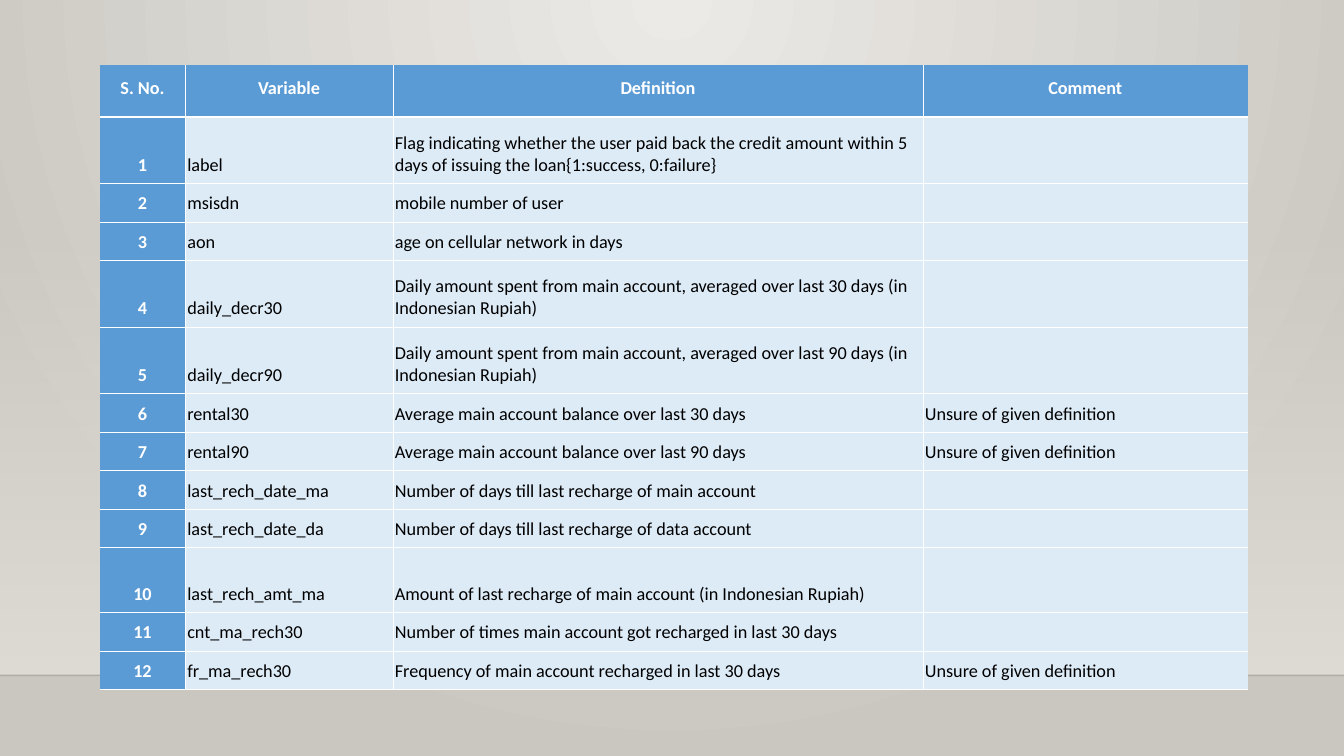
from lxml.etree import SubElement
from pptx import Presentation
from pptx.dml.color import RGBColor
from pptx.enum.shapes import MSO_CONNECTOR, MSO_SHAPE
from pptx.enum.text import MSO_ANCHOR, PP_ALIGN
from pptx.oxml.ns import qn
from pptx.util import Cm, Pt

WIDTH, HEIGHT = 33.87, 19.05
HORIZON = 17.02
NO_TABLE_STYLE = "{2D5ABB26-0587-4C30-8999-92F81FD0307C}"
COLORS = {
    "glow": "ECEAE7", "edge": "CAC7C1", "wall": "DFDBD5", "horizon": "000001",
    "head": "5B9BD5", "body": "DDEBF7", "white": "FFFFFF", "black": "000000",
}
COLUMNS = [2.16, 5.23, 13.36, 8.18]
HEADER_HEIGHT, SHORT, TALL = 1.29, 0.97, 1.68
HEADERS = ["S. No.", "Variable", "Definition", "Comment"]
UNSURE = "Unsure of given definition"
VARIABLES = [
    (TALL, "label", "Flag indicating whether the user paid back the credit amount "
     "within 5 days of issuing the loan{1:success, 0:failure}", ""),
    (SHORT, "msisdn", "mobile number of user", ""),
    (SHORT, "aon", "age on cellular network in days", ""),
    (TALL, "daily_decr30", "Daily amount spent from main account, averaged over "
     "last 30 days (in Indonesian Rupiah)", ""),
    (TALL, "daily_decr90", "Daily amount spent from main account, averaged over "
     "last 90 days (in Indonesian Rupiah)", ""),
    (SHORT, "rental30", "Average main account balance over last 30 days", UNSURE),
    (SHORT, "rental90", "Average main account balance over last 90 days", UNSURE),
    (SHORT, "last_rech_date_ma", "Number of days till last recharge of main account", ""),
    (SHORT, "last_rech_date_da", "Number of days till last recharge of data account", ""),
    (1.63, "last_rech_amt_ma",
     "Amount of last recharge of main account (in Indonesian Rupiah)", ""),
    (SHORT, "cnt_ma_rech30", "Number of times main account got recharged in last 30 days", ""),
    (SHORT, "fr_ma_rech30", "Frequency of main account recharged in last 30 days", UNSURE),
]


def rgb(name):
    return RGBColor.from_string(COLORS[name])


def set_alpha(element, percent):
    """Make the first colour inside element partly transparent."""
    color = next(element.iter(qn("a:srgbClr")))
    SubElement(color, qn("a:alpha"), val=str(percent * 1000))


class SlideBuilder:
    """Holds the text style and the current slide."""

    font, size = "Calibri", Pt(13)

    def __init__(self, prs):
        self.s = prs.slides.add_slide(prs.slide_layouts[6])

    def gradient(self, fill, first, last):
        fill.gradient()
        for stop, name in zip(fill.gradient_stops, (first, last)):
            stop.color.rgb = rgb(name)

    def background(self, center, edge):
        """Radial gradient that spreads from the top centre."""
        self.gradient(self.s.background.fill, center, edge)
        grad = next(self.s.element.iter(qn("a:gradFill")))
        grad.remove(grad.find(qn("a:lin")))
        circle = SubElement(grad, qn("a:path"), path="circle")
        SubElement(circle, qn("a:fillToRect"), l="43000", t="0", r="43000", b="100000")

    def fading_band(self, top, bottom, color):
        """Full-width band, clear at the top and solid at the bottom."""
        sp = self.s.shapes.add_shape(
            MSO_SHAPE.RECTANGLE, 0, Cm(top), Cm(WIDTH), Cm(bottom - top))
        sp.shadow.inherit = False
        sp.line.fill.background()
        self.gradient(sp.fill, color, color)
        sp.fill.gradient_angle = 270
        set_alpha(sp.element, 0)

    def horizontal_line(self, y, color, opacity):
        line = self.s.shapes.add_connector(
            MSO_CONNECTOR.STRAIGHT, 0, Cm(y), Cm(WIDTH), Cm(y))
        line.line.color.rgb = rgb(color)
        line.line.width = Pt(1)
        props = line.element.spPr
        set_alpha(props, opacity)
        SubElement(props, qn("a:effectLst"))

    def borders(self, cell, widths):
        """Draw white borders; widths maps L, R, T, B to points."""
        props = cell._tc.get_or_add_tcPr()
        for side in "LRTB":
            if side in widths:
                ln = SubElement(props, qn(f"a:ln{side}"), w=str(Pt(widths[side])))
                fill = SubElement(ln, qn("a:solidFill"))
                SubElement(fill, qn("a:srgbClr"), val=COLORS["white"])

    def cell(self, cell, text, is_head, anchor):
        cell.fill.solid()
        cell.fill.fore_color.rgb = rgb("head" if is_head else "body")
        cell.vertical_anchor = anchor
        cell.margin_left = cell.margin_right = Cm(0.05)
        cell.margin_top = Cm(0.05 if text else 0)
        cell.margin_bottom = Cm(0.18 if text else 0)
        if not text:
            return
        p = cell.text_frame.paragraphs[0]
        p.alignment = PP_ALIGN.CENTER if is_head else PP_ALIGN.LEFT
        r = p.add_run()
        r.text = text
        r.font.name, r.font.size, r.font.bold = self.font, self.size, is_head
        r.font.color.rgb = rgb("white" if is_head else "black")

    def table(self, left, top, columns, heights, rows):
        frame = self.s.shapes.add_table(
            len(rows), len(columns), Cm(left), Cm(top), Cm(sum(columns)), Cm(sum(heights)))
        table = frame.table
        next(frame.element.iter(qn("a:tableStyleId"))).text = NO_TABLE_STYLE
        table.first_row = table.horz_banding = False
        for column, width in zip(table.columns, columns):
            column.width = Cm(width)
        for i, (height, texts) in enumerate(zip(heights, rows)):
            table.rows[i].height = Cm(height)
            for j, text in enumerate(texts):
                widths = {"B": 1.5 if i == 0 else 0.5}
                if i > 0:
                    widths["T"] = 1.5 if i == 1 else 0.5
                if j > 0:
                    widths["L"] = 0.5
                if j < len(columns) - 1:
                    widths["R"] = 0.5
                cell = table.cell(i, j)
                self.borders(cell, widths)
                anchor = MSO_ANCHOR.MIDDLE if i == 0 else MSO_ANCHOR.BOTTOM
                self.cell(cell, text, i == 0 or j == 0, anchor)


def main():
    prs = Presentation()
    prs.slide_width, prs.slide_height = Cm(WIDTH), Cm(HEIGHT)
    slide = SlideBuilder(prs)
    slide.background("glow", "edge")
    slide.fading_band(5.61, HORIZON, "wall")
    slide.horizontal_line(HORIZON, "horizon", 20)
    heights = [HEADER_HEIGHT] + [height for height, *_ in VARIABLES]
    rows = [HEADERS] + [
        [str(number), *texts] for number, (_, *texts) in enumerate(VARIABLES, 1)]
    slide.table(2.51, 1.65, COLUMNS, heights, rows)
    prs.save("out.pptx")


if __name__ == "__main__":
    main()
